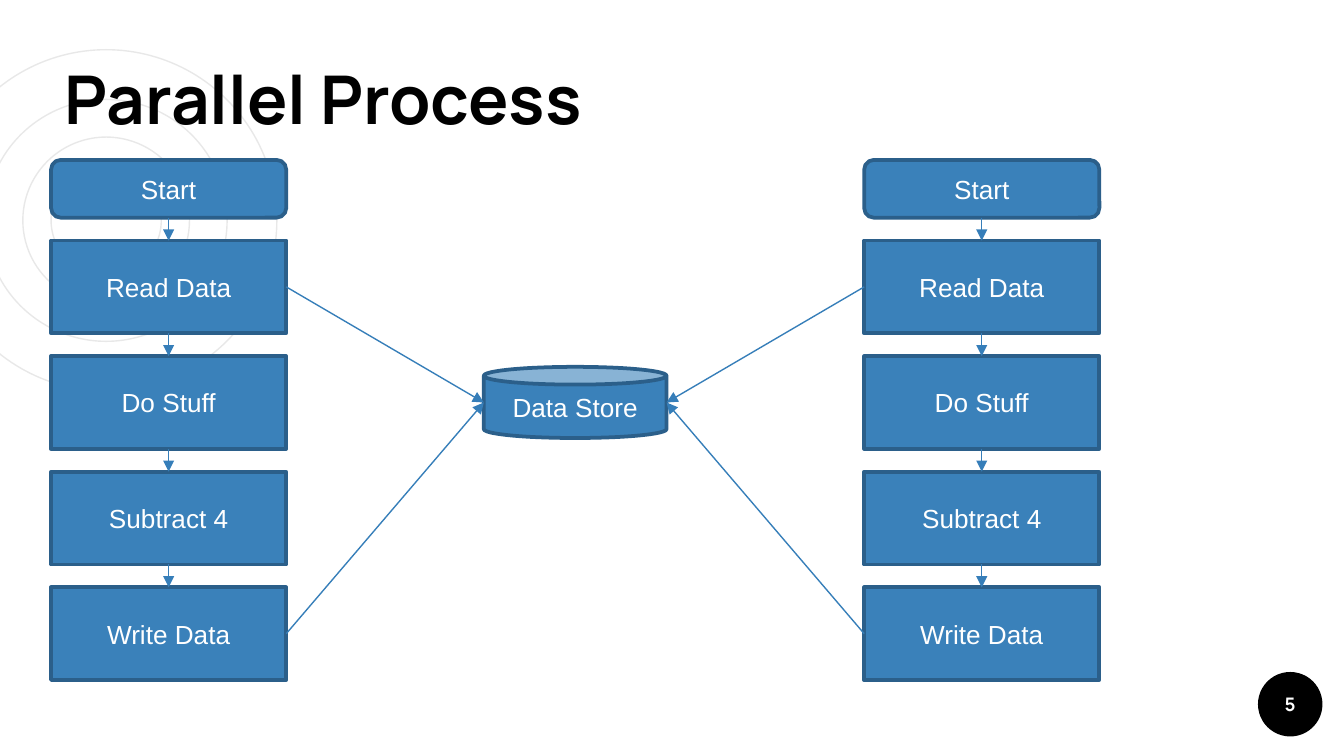
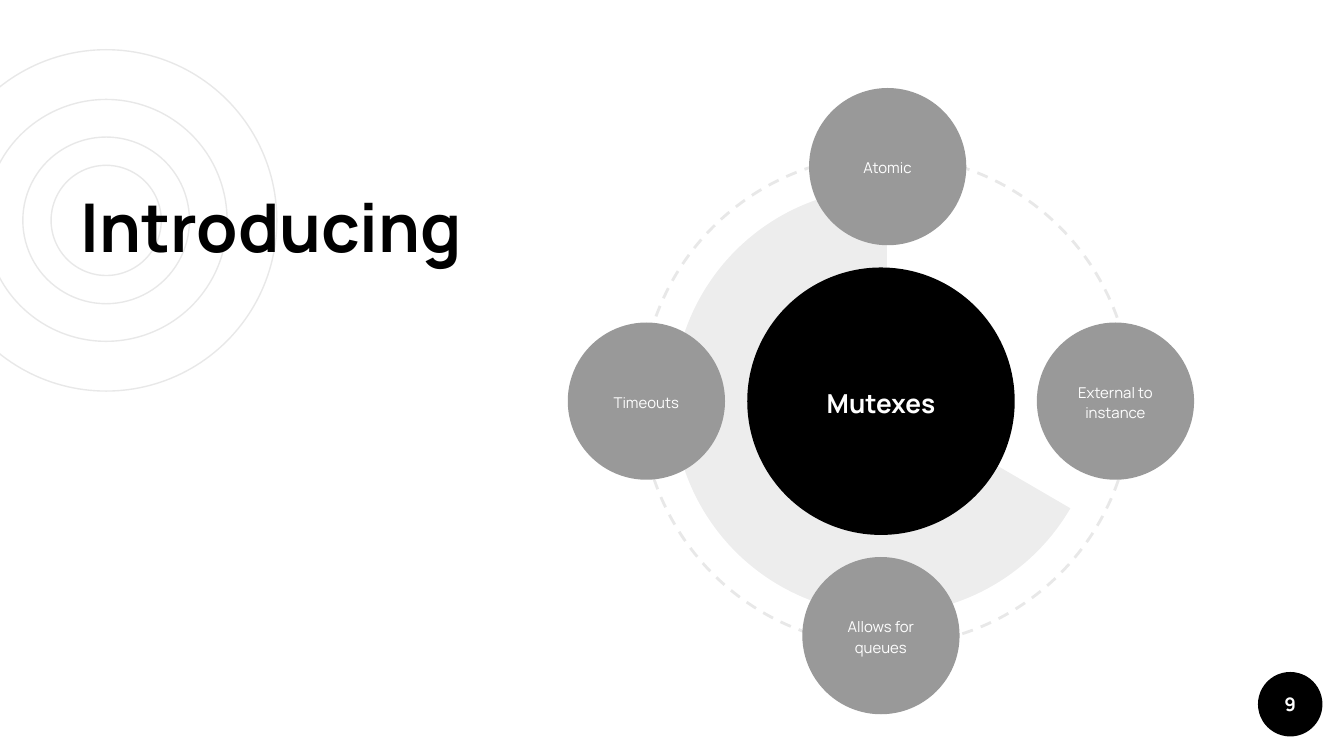
"""Build two slides on parallel processes and mutexes, on a grid of 100 square columns."""
from lxml.etree import SubElement
from pptx import Presentation
from pptx.dml.color import RGBColor
from pptx.enum.dml import MSO_LINE
from pptx.enum.shapes import MSO_CONNECTOR, MSO_SHAPE
from pptx.enum.text import MSO_ANCHOR, MSO_AUTO_SIZE, PP_ALIGN
from pptx.oxml.ns import qn
from pptx.util import Inches, Pt

BLACK, WHITE, GREY, PALE = "000000", "FFFFFF", "999999", "E8E8E8"
BLUE, NAVY, ARROW = "3A81BA", "2B5F8A", "367EB9"
HEAD, BODY = "Manrope", "Arial"

prs = Presentation()
prs.slide_width, prs.slide_height = Inches(10), Inches(5.625)
U = prs.slide_width / 100


def rgb(code):
    return RGBColor.from_string(code)


def add(s, kind, cx, cy, w, h, fill=None, line=None, weight=0.75,
        text="", size=14, font=HEAD, bold=False, spacing=1.0):
    """Add a shape centred on a grid point, with its text if it has any."""
    sp = s.shapes.add_shape(kind, *(int(v * U) for v in (cx - w / 2, cy - h / 2, w, h)))
    sp.shadow.inherit = False
    if fill:
        sp.fill.solid()
        sp.fill.fore_color.rgb = rgb(fill)
    else:
        sp.fill.background()
    if line:
        sp.line.color.rgb = rgb(line)
        sp.line.width = Pt(weight)
    else:
        sp.line.fill.background()
    if text:
        tf = sp.text_frame
        tf.word_wrap = True
        tf.vertical_anchor = MSO_ANCHOR.MIDDLE
        p = tf.paragraphs[0]
        p.text, p.alignment, p.line_spacing = text, PP_ALIGN.CENTER, spacing
        p.font.size, p.font.name, p.font.bold = Pt(size), font, bold
        p.font.color.rgb = rgb(WHITE)
    return sp


slides = []
for heading, number, box, anchor in [
    ("Parallel Process", "5", (3.8, 3.8, 57.1, 7.5), MSO_ANCHOR.BOTTOM),
    ("Introducing", "9", (5, 12.8, 32.8, 32.2), MSO_ANCHOR.TOP),
]:
    s = prs.slides.add_slide(prs.slide_layouts[5])
    for d in (25.4, 18, 12.4, 8.2):
        add(s, MSO_SHAPE.OVAL, 7.9, 16.4, d, d, line=PALE)
    sp = add(s, MSO_SHAPE.OVAL, 96, 52.4, 4.8, 4.8, BLACK, text=number, size=10, bold=True)
    sp.text_frame.margin_left = sp.text_frame.margin_right = 0

    title = s.shapes.title
    title.left, title.top, title.width, title.height = (int(v * U) for v in box)
    tf = title.text_frame
    tf.auto_size, tf.word_wrap, tf.vertical_anchor = MSO_AUTO_SIZE.NONE, True, anchor
    tf.margin_left = tf.margin_right = tf.margin_top = tf.margin_bottom = int(U)
    p = tf.paragraphs[0]
    p.text, p.alignment = heading, PP_ALIGN.LEFT
    p.font.size, p.font.name, p.font.bold = Pt(36), HEAD, True
    p.font.color.rgb = rgb(BLACK)
    s.shapes._spTree.append(title._element)
    slides.append(s)

s = slides[0]
steps = ["Read Data", "Do Stuff", "Subtract 4", "Write Data"]
box_w, start_h, step_h, pitch = 17.5, 4.3, 6.9, 8.6
start_y, step_y = 14.05, 21.35
store_x, store_y, store_w = 42.8, 29.95, 13.6
flow = dict(fill=BLUE, line=NAVY, weight=2, font=BODY)
arrows = []
add(s, MSO_SHAPE.CAN, store_x, store_y, store_w, 5.3, text="Data Store", **flow)
for side in (-1, 1):
    x = store_x + side * 30.25
    add(s, MSO_SHAPE.ROUNDED_RECTANGLE, x, start_y, box_w, start_h, text="Start", **flow)
    bottom = start_y + start_h / 2
    for i, step in enumerate(steps):
        y = step_y + i * pitch
        add(s, MSO_SHAPE.RECTANGLE, x, y, box_w, step_h, text=step, **flow)
        arrows.append((x, bottom, x, y - step_h / 2))
        bottom = y + step_h / 2
        if step in ("Read Data", "Write Data"):
            arrows.append((x - side * box_w / 2, y, store_x + side * store_w / 2, store_y))

for ends in arrows:
    cn = s.shapes.add_connector(MSO_CONNECTOR.STRAIGHT, *(int(v * U) for v in ends))
    cn.line.color.rgb = rgb(ARROW)
    cn.line.width = Pt(0.75)
    SubElement(cn.line._get_or_add_ln(), qn("a:tailEnd"), type="triangle")
    SubElement(cn._element.spPr, qn("a:effectLst"))

s = slides[1]
hub_x, hub_y, reach = 65.55, 29.85, 17.45
ring = add(s, MSO_SHAPE.OVAL, 65.95, 29.8, 36.5, 36.5, line=PALE, weight=1.5)
ring.rotation = 270
ring.line.dash_style = MSO_LINE.DASH
pie = add(s, MSO_SHAPE.PIE, 65.95, 29.85, 31.7, 31.7, BLACK)
pie.adjustments[0], pie.adjustments[1] = 18.12, 162.15
SubElement(pie._element.spPr.find(".//" + qn("a:srgbClr")), qn("a:alpha"), val="7000")
add(s, MSO_SHAPE.OVAL, hub_x, hub_y, 19.9, 19.9, BLACK,
    text="Mutexes", bold=True, spacing=1.15)
for trait, dx, dy in [
    ("Atomic", 0.5, -reach),
    ("Allows for queues", 0, reach),
    ("External to instance", reach, 0),
    ("Timeouts", -reach, 0),
]:
    add(s, MSO_SHAPE.OVAL, hub_x + dx, hub_y + dy, 11.7, 11.7, GREY,
        text=trait, size=8, spacing=1.15)

prs.save("out.pptx")
